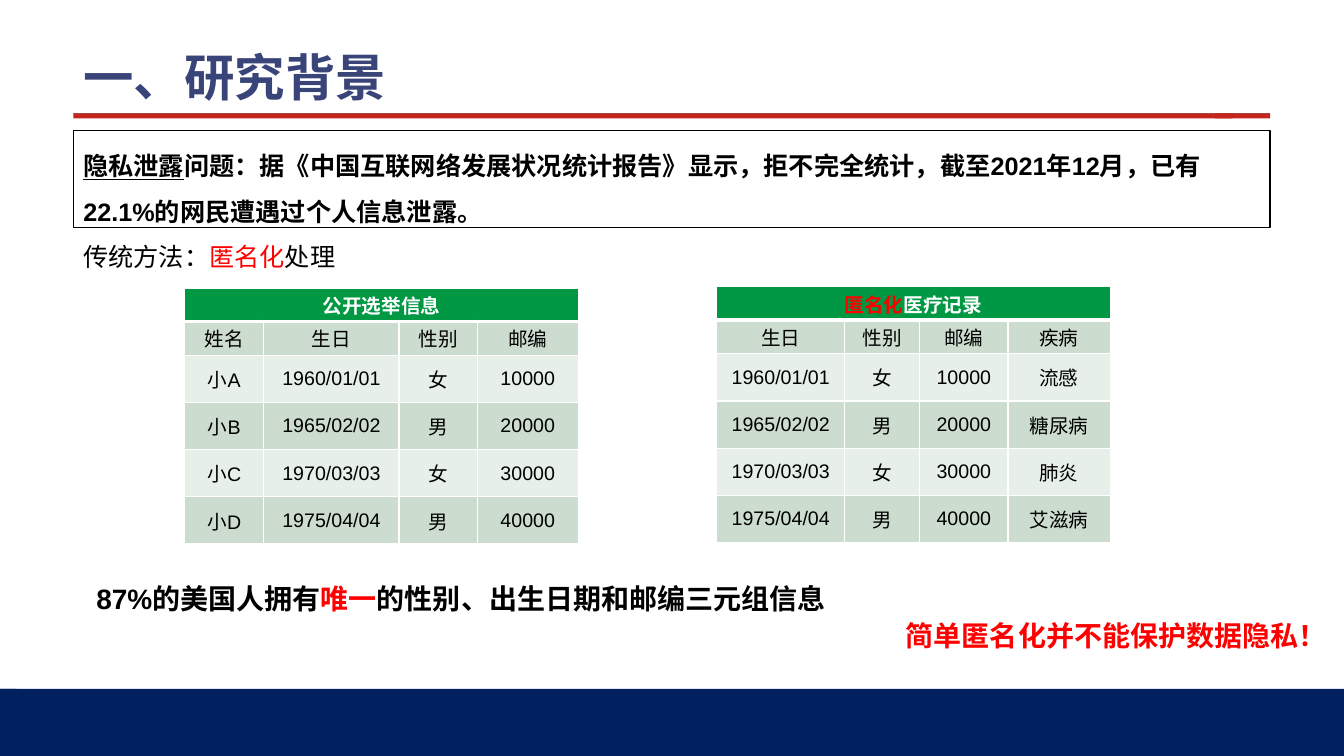
from lxml.etree import SubElement
from pptx import Presentation
from pptx.dml.color import RGBColor
from pptx.enum.shapes import MSO_CONNECTOR, MSO_SHAPE
from pptx.enum.text import MSO_ANCHOR, PP_ALIGN
from pptx.oxml.ns import qn
from pptx.util import Pt

BLACK, WHITE, RED = "000000", "FFFFFF", "FF0000"
NAVY, CRIMSON, GRAY, INDIGO = "002060", "C4251F", "808080", "394479"
GREEN, BAND_DARK, BAND_LIGHT = "019844", "CCDDCF", "E7EFE9"

LEFT, WIDTH = 52.5, 854.7
SLIDE_WIDTH, SLIDE_HEIGHT = 960, 540


def color(hex_value):
    return RGBColor.from_string(hex_value)


def points(values):
    return [Pt(value) for value in values]


class SlideBuilder:
    """Holds the shared style and the slide being filled."""

    font_name = "Arial"

    def __init__(self, slide):
        self.slide = slide
        self.shapes = slide.shapes

    def add_runs(self, frame, runs, size, bold=False, spacing=None, align=PP_ALIGN.LEFT):
        """Fill one paragraph with runs of (text, colour[, underline])."""
        paragraph = frame.paragraphs[0]
        paragraph.alignment = align
        if spacing:
            paragraph.line_spacing = spacing
        for text, ink, *underline in runs:
            run = paragraph.add_run()
            run.text = text
            style = {"name": self.font_name, "size": Pt(size), "bold": bold,
                     "underline": bool(underline)}
            for attribute, value in style.items():
                setattr(run.font, attribute, value)
            run.font.color.rgb = color(ink)

    def title(self, box, text):
        heading = self.shapes.title
        for attribute, value in zip(("left", "top", "width", "height"), points(box)):
            setattr(heading, attribute, value)
        heading.text_frame.vertical_anchor = MSO_ANCHOR.BOTTOM
        self.add_runs(heading.text_frame, [(text, INDIGO)], 36, bold=True, spacing=0.9)

    def bar(self, box, fill):
        bar = self.shapes.add_shape(MSO_SHAPE.RECTANGLE, *points(box))
        bar.shadow.inherit = False
        bar.fill.solid()
        bar.fill.fore_color.rgb = color(fill)
        bar.line.fill.background()

    def framed_text(self, box, runs, **format_values):
        panel = self.shapes.add_shape(MSO_SHAPE.RECTANGLE, *points(box))
        panel.shadow.inherit = False
        panel.fill.background()
        panel.line.color.rgb = color(BLACK)
        panel.line.width = Pt(0.75)
        panel.text_frame.word_wrap = True
        panel.text_frame.vertical_anchor = MSO_ANCHOR.TOP
        self.add_runs(panel.text_frame, runs, **format_values)

    def text(self, box, runs, wrap=True, **format_values):
        frame = self.shapes.add_textbox(*points(box)).text_frame
        frame.word_wrap = wrap
        self.add_runs(frame, runs, **format_values)

    def rule(self, start, end, ink, width):
        rule = self.shapes.add_connector(MSO_CONNECTOR.STRAIGHT, *points(start + end))
        rule.line.color.rgb = color(ink)
        rule.line.width = Pt(width)
        SubElement(rule._element.spPr, qn("a:effectLst"))

    def border(self, cell, widths):
        properties = cell._tc.get_or_add_tcPr()
        for side, width in zip("LRTB", widths):
            edge = SubElement(properties, qn(f"a:ln{side}"), w=str(Pt(width)))
            fill = SubElement(edge, qn("a:solidFill"))
            SubElement(fill, qn("a:srgbClr"), val=WHITE)

    def table(self, left, top, column_widths, heading, records):
        """Draw a merged heading row above banded records."""
        row_heights = [24, 24] + [33.75] * (len(records) - 1)
        box = (left, top, sum(column_widths), sum(row_heights))
        table = self.shapes.add_table(
            len(row_heights), len(column_widths), *points(box)).table
        table.first_row = table.horz_banding = False
        for column, width in zip(table.columns, column_widths):
            column.width = Pt(width)
        for row, height in zip(table.rows, row_heights):
            row.height = Pt(height)

        table.cell(0, 0).merge(table.cell(0, len(column_widths) - 1))
        blanks = [[]] * (len(column_widths) - 1)
        rows = [[heading] + blanks]
        rows += [[[(value, BLACK)] for value in record] for record in records]
        for i, row in enumerate(rows):
            band = GREEN if i == 0 else BAND_DARK if i % 2 else BAND_LIGHT
            for j, runs in enumerate(row):
                cell = table.cell(i, j)
                self.border(cell, (1, 1, 3 if i == 1 else 1, 3 if i == 0 else 1))
                cell.fill.solid()
                cell.fill.fore_color.rgb = color(band)
                cell.margin_top = cell.margin_bottom = 0
                cell.vertical_anchor = MSO_ANCHOR.MIDDLE
                self.add_runs(cell.text_frame, runs, 14, bold=i == 0,
                              align=PP_ALIGN.CENTER)


def main():
    presentation = Presentation()
    presentation.slide_width = Pt(SLIDE_WIDTH)
    presentation.slide_height = Pt(SLIDE_HEIGHT)
    title_only = presentation.slide_layouts[5]
    page = SlideBuilder(presentation.slides.add_slide(title_only))

    page.rule((LEFT, 80.6), (LEFT + WIDTH, 80.6), GRAY, 0.25)
    page.bar((0, 492, SLIDE_WIDTH, 48), NAVY)
    page.bar((0, 492, 12, 48), NAVY)
    page.bar((LEFT, 81, 828, 3.6), CRIMSON)
    page.bar((LEFT + WIDTH - 39.6, 81, 39.6, 3.6), CRIMSON)
    page.title((LEFT, 0, WIDTH, 80.6), "一、研究背景")

    page.framed_text(
        (LEFT, 93.25, WIDTH, 69),
        [("隐私泄露", BLACK, True),
         ("问题：据《中国互联网络发展状况统计报告》显示，拒不完全统计，"
          "截至2021年12月，已有22.1%的网民遭遇过个人信息泄露。", BLACK)],
        size=18, bold=True, spacing=1.5)
    page.text((LEFT, 169, 196.5, 29),
              [("传统方法：", BLACK), ("匿名化", RED), ("处理", BLACK)],
              wrap=False, size=18)

    names = ["小A", "小B", "小C", "小D"]
    shared_header = ("生日", "性别", "邮编")
    shared = [("1960/01/01", "女", "10000"), ("1965/02/02", "男", "20000"),
              ("1970/03/03", "女", "30000"), ("1975/04/04", "男", "40000")]
    diseases = ["流感", "糖尿病", "肺炎", "艾滋病"]
    voters = [(name, *triple) for name, triple
              in zip(["姓名"] + names, [shared_header] + shared)]
    patients = [(*triple, disease) for triple, disease
                in zip([shared_header] + shared, ["疾病"] + diseases)]
    page.table(132, 205.75, (56.5, 96.5, 56, 72),
               [("公开选举信息", WHITE)], voters)
    page.table(512, 204.75, (91.5, 53.5, 63, 73),
               [("匿名化", RED), ("医疗记录", WHITE)], patients)

    page.text((61.75, 412, 562, 31.5),
              [("87%的美国人拥有", BLACK), ("唯一", RED),
               ("的性别、出生日期和邮编三元组信息", BLACK)], size=20, bold=True)
    page.text((640, 432, 304.5, 34.5), [("简单匿名化并不能保护数据隐私！", RED)],
              size=20, bold=True, spacing=1.25)

    presentation.save("out.pptx")


if __name__ == "__main__":
    main()
